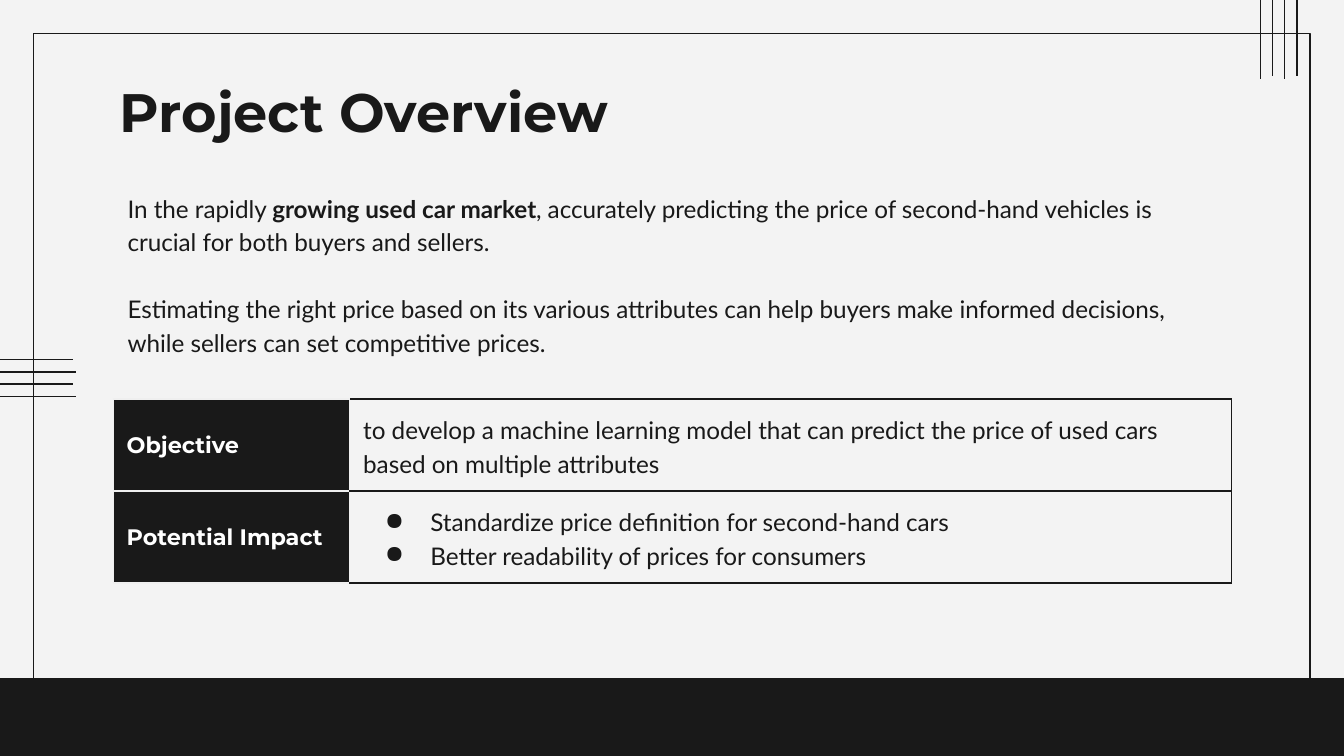
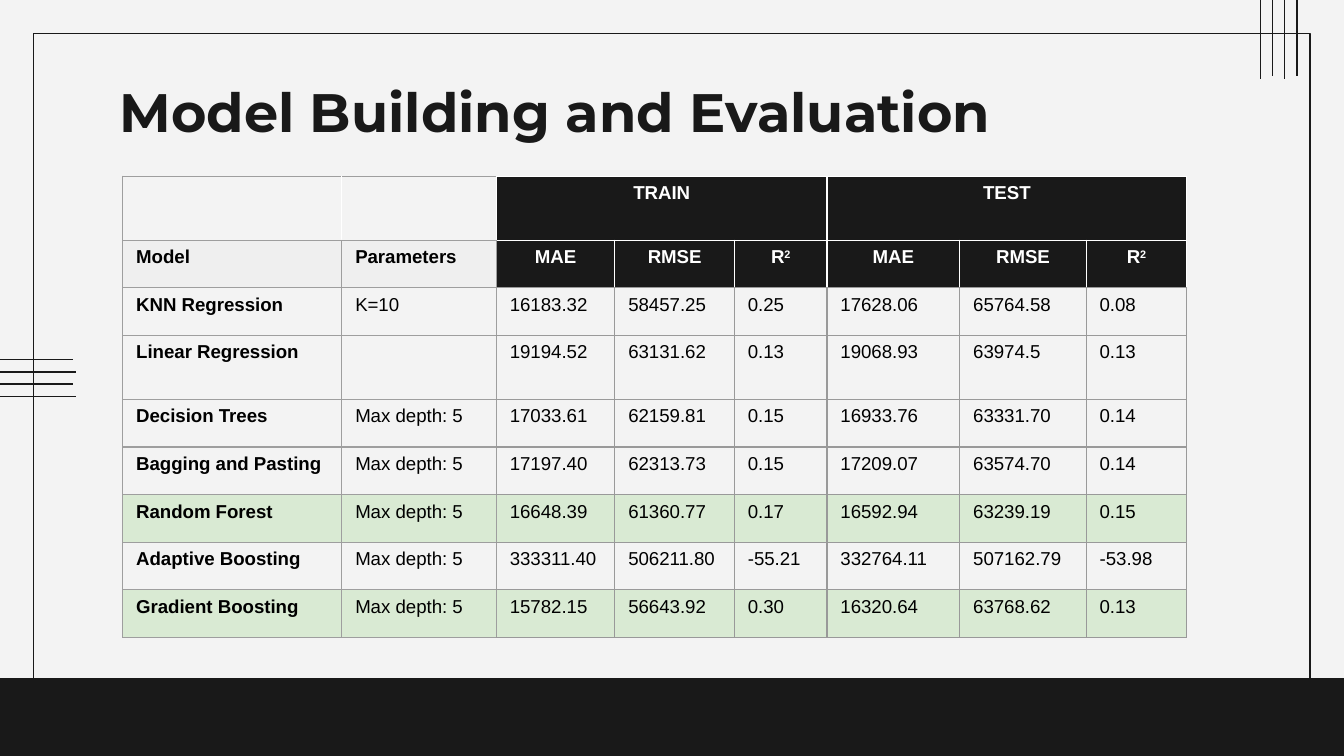
from lxml import etree
from pptx import Presentation
from pptx.dml.color import RGBColor
from pptx.enum import shapes, text
from pptx.oxml import ns
from pptx.util import Cm, Pt

INK, PAPER, WHITE, BLACK = "191919", "F3F3F3", "FFFFFF", "000000"
PALE, GREY, ASH, GREEN = "EFEFEF", "999999", "9E9E9E", "D9EAD3"
HEAD, BODY, DATA = "Montserrat", "Lato", "Arial"
WIDE, HIGH = 25.4, 14.29

SCORES = [
    ("KNN Regression", "K=10", "16183.32", "58457.25", "0.25", "17628.06", "65764.58", "0.08"),
    ("Linear Regression", "", "19194.52", "63131.62", "0.13", "19068.93", "63974.5", "0.13"),
    ("Decision Trees", "Max depth: 5", "17033.61", "62159.81", "0.15", "16933.76", "63331.70", "0.14"),
    ("Bagging and Pasting", "Max depth: 5", "17197.40", "62313.73", "0.15", "17209.07", "63574.70", "0.14"),
    ("Random Forest", "Max depth: 5", "16648.39", "61360.77", "0.17", "16592.94", "63239.19", "0.15"),
    ("Adaptive Boosting", "Max depth: 5", "333311.40", "506211.80", "-55.21", "332764.11", "507162.79", "-53.98"),
    ("Gradient Boosting", "Max depth: 5", "15782.15", "56643.92", "0.30", "16320.64", "63768.62", "0.13"),
]
BEST = ("Random Forest", "Gradient Boosting")


def rgb(code):
    return RGBColor.from_string(code)


def sub(parent, tag, **attrs):
    return etree.SubElement(parent, ns.qn(tag), **attrs)


def style(par, face, size, color, bold=False, space=None, align=text.PP_ALIGN.LEFT):
    font = par.font
    font.name, font.size, font.bold = face, Pt(size), bold
    font.color.rgb = rgb(color)
    par.alignment = align
    par.space_before = Pt(0)
    if space:
        par.line_spacing = space


def bullet(par, char=None):
    """Give the paragraph a hanging bullet, or clear the inherited one."""
    props = par._p.get_or_add_pPr()
    left, hang = (Cm(1.27), Cm(-0.86)) if char else (0, 0)
    props.set("marL", str(left))
    props.set("indent", str(hang))
    if char:
        sub(sub(props, "a:buClr"), "a:srgbClr", val=INK)
        sub(props, "a:buChar", char=char)
    else:
        sub(props, "a:buNone")


def place(holder, left, top, width, height):
    """Move a placeholder and set its frame to plain top-aligned text."""
    holder.left, holder.top = Cm(left), Cm(top)
    holder.width, holder.height = Cm(width), Cm(height)
    frame = holder.text_frame
    frame.margin_left = frame.margin_right = Cm(0.25)
    frame.margin_top = frame.margin_bottom = Cm(0.25)
    frame.vertical_anchor = text.MSO_ANCHOR.TOP
    frame.auto_size = text.MSO_AUTO_SIZE.NONE
    frame.word_wrap = True
    return frame


def rect(slide, left, top, width, height, fill, line=None):
    box = slide.shapes.add_shape(shapes.MSO_SHAPE.RECTANGLE,
                                 Cm(left), Cm(top), Cm(width), Cm(height))
    box.shadow.inherit = False
    box.fill.solid()
    box.fill.fore_color.rgb = rgb(fill)
    if line:
        box.line.color.rgb = rgb(line)
        box.line.width = Pt(0.75)
    else:
        box.line.fill.background()


def stroke(slide, x, y, dx, dy):
    line = slide.shapes.add_connector(shapes.MSO_CONNECTOR.STRAIGHT,
                                      Cm(x), Cm(y), Cm(x + dx), Cm(y + dy))
    line.line.color.rgb = rgb(INK)
    line.line.width = Pt(0.75)
    sub(line._element.spPr, "a:effectLst")


def decor(slide):
    """Frame, the two bunches of strokes and the bottom band."""
    rect(slide, 0.64, 0.64, WIDE - 1.28, 13.03, PAPER, INK)
    for i in range(4):
        shift = 0.05 * (i % 2)
        stroke(slide, shift - 0.51, 6.8 + 0.23 * i, 1.9, 0)
        stroke(slide, 24.51 - 0.23 * i, shift - 0.46, 0, 1.9)
    rect(slide, 0, 12.82, WIDE, HIGH - 12.82, INK)


def page(deck, layout, title):
    slide = deck.slides.add_slide(deck.slide_layouts[layout])
    slide.background.fill.solid()
    slide.background.fill.fore_color.rgb = rgb(PAPER)
    decor(slide)
    for holder in slide.placeholders:
        slide.shapes.element.append(holder.element)  # bring in front of the frame
    par = place(slide.shapes.title, 2.01, 1.24, 21.41, 1.6).paragraphs[0]
    par.text = title
    style(par, HEAD, 29, INK, True)
    return slide


def grid(slide, left, top, cols, rows):
    """Add an unstyled table with the given column widths and row heights."""
    table = slide.shapes.add_table(len(rows), len(cols), Cm(left), Cm(top),
                                   Cm(sum(cols)), Cm(sum(rows))).table
    table.first_row = table.horz_banding = False
    for col, width in zip(table.columns, cols):
        col.width = Cm(width)
    for row, height in zip(table.rows, rows):
        row.height = Cm(height)
    return table


def paint(cell, fill, edges):
    """Set the cell's borders (left, right, top, bottom), then its fill."""
    props = cell._tc.get_or_add_tcPr()
    for side, color in zip("LRTB", edges):
        line = sub(props, f"a:ln{side}", w=str(Pt(0.75)))
        sub(sub(line, "a:solidFill"), "a:srgbClr", val=color)
    if fill:
        cell.fill.solid()
        cell.fill.fore_color.rgb = rgb(fill)
    else:
        cell.fill.background()


def intro(slide, left, top, width, height):
    frame = place(slide.placeholders[1], left, top, width, height)
    first, second = frame.paragraphs[0], frame.add_paragraph()
    first.add_run().text = "In the rapidly "
    strong = first.add_run()
    strong.text = "growing used car market"
    strong.font.bold = True
    first.add_run().text = (", accurately predicting the price of second-hand "
                            "vehicles is crucial for both buyers and sellers.")
    second.text = ("Estimating the right price based on its various attributes can help "
                   "buyers make informed decisions, while sellers can set competitive prices.")
    for par in (first, second):
        bullet(par)
        style(par, BODY, 13, INK, space=1.15)
    first.space_after = Pt(18)


def goals(slide, left, top):
    items = [
        ("Objective", ["to develop a machine learning model that can predict the price "
                       "of used cars based on multiple attributes"]),
        ("Potential Impact", ["Standardize price definition for second-hand cars",
                              "Better readability of prices for consumers"]),
    ]
    table = grid(slide, left, top, [4.47, 16.66], [1.74] * 2)
    for r, (label, lines) in enumerate(items):
        name, note = table.cell(r, 0), table.cell(r, 1)
        paint(name, INK, [PALE] * 4)
        paint(note, PAPER, [PALE, INK, INK, INK])
        name.vertical_anchor = note.vertical_anchor = text.MSO_ANCHOR.MIDDLE
        name.text, note.text = label, "\n".join(lines)
        style(name.text_frame.paragraphs[0], HEAD, 12, WHITE, True)
        for par in note.text_frame.paragraphs:
            if len(lines) > 1:
                bullet(par, "●")
            style(par, BODY, 13, INK, space=1.15)


def edges(r, c):
    """Border colours of a score cell: left, right, top, bottom."""
    if c < 2:
        if r:
            return [ASH] * 4
        return [WHITE if c else ASH, WHITE, ASH, ASH]
    if r == 0:
        return [WHITE] * 4
    left = ASH if c == 2 else WHITE if r == 1 else GREY
    return [left, WHITE, WHITE, GREY] if r == 1 else [left, GREY, GREY, GREY]


def scores(slide, left, top):
    units = ("MAE", "RMSE", "R2")
    data = [("", "", "TRAIN", "", "", "TEST", "", ""),
            ("Model", "Parameters", *units, *units), *SCORES]
    tall, low = 1.21, 0.9
    table = grid(slide, left, top, [4.14, 2.92, 2.24, 2.26, 1.75, 2.51, 2.39, 1.9],
                 [tall, low, low, tall] + [low] * 5)
    for r, row in enumerate(data):
        for c, value in enumerate(row):
            cell = table.cell(r, c)
            dark = r < 2 and c > 1
            fill = INK if dark else PALE if r == 1 else GREEN if row[0] in BEST else None
            paint(cell, fill, edges(r, c))
            if not value:
                continue
            par = cell.text_frame.paragraphs[0]
            if value == "R2":
                par.add_run().text = "R"
                power = par.add_run()
                power.text = "2"
                power._r.get_or_add_rPr().set("baseline", "30000")
            else:
                par.text = value
            style(par, DATA, 10, WHITE if dark else BLACK, r < 2 or c == 0,
                  align=text.PP_ALIGN.CENTER if dark else text.PP_ALIGN.LEFT)
    for c in (2, 5):
        table.cell(0, c).merge(table.cell(0, c + 2))


def main():
    deck = Presentation()
    deck.slide_width, deck.slide_height = Cm(WIDE), Cm(HIGH)
    slide = page(deck, 1, "Project Overview")
    goals(slide, 2.14, 7.54)
    intro(slide, 2.16, 3.33, 21.13, 3.68)
    scores(page(deck, 5, "Model Building and Evaluation"), 2.32, 3.33)
    deck.save("out.pptx")


if __name__ == "__main__":
    main()
